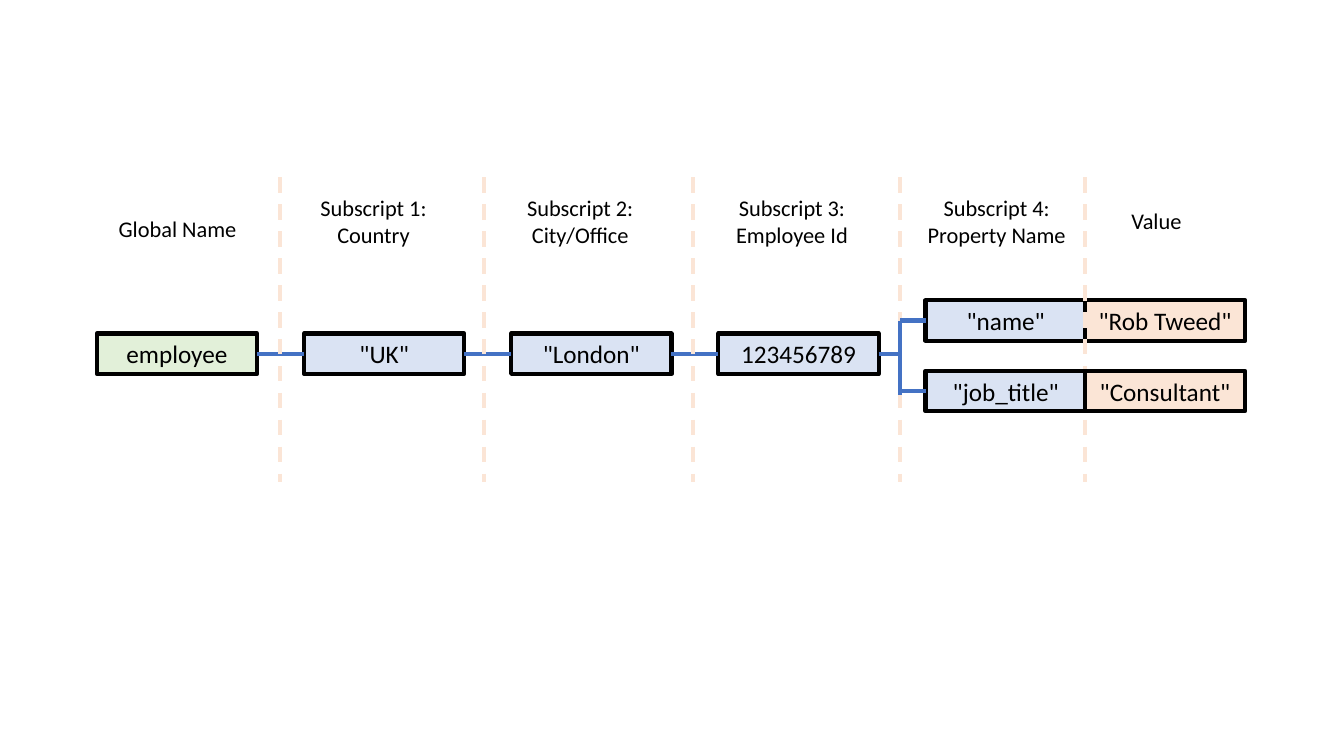
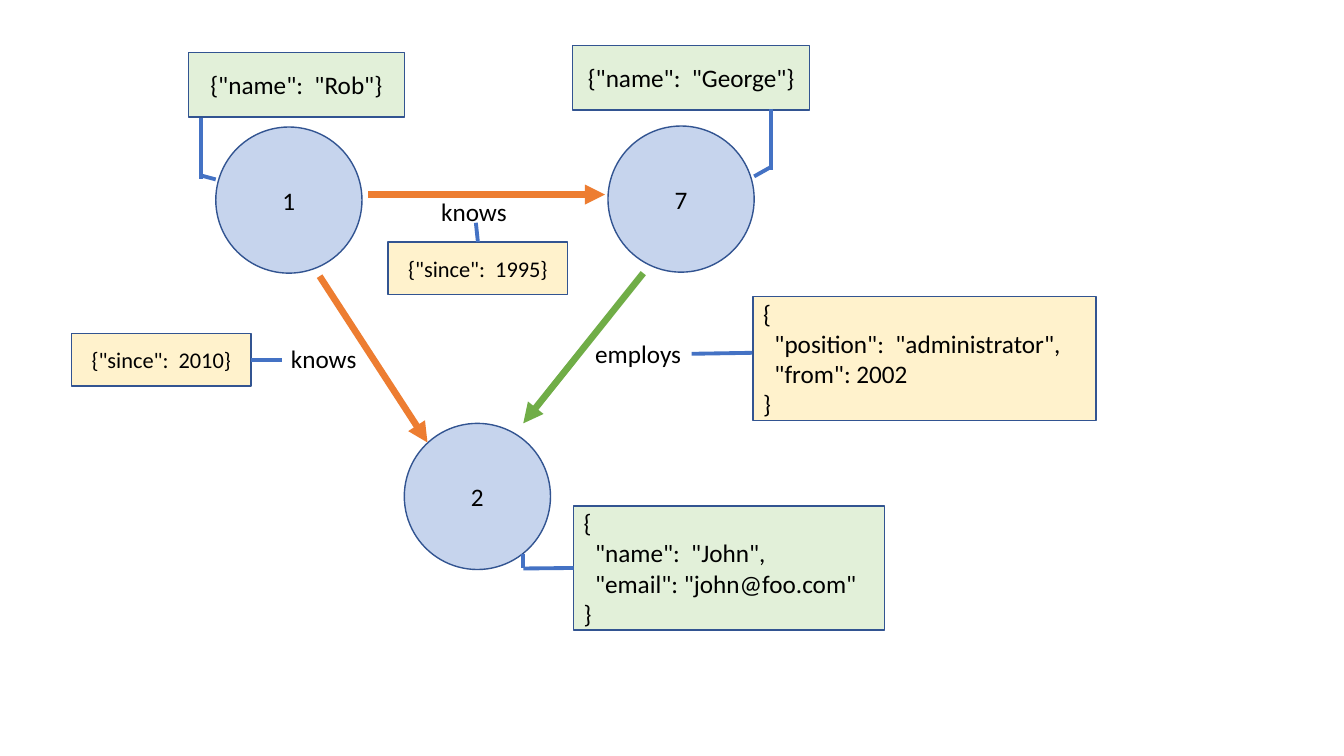
"""Build two slides: a hierarchical global record and a property graph."""
from lxml.etree import SubElement
from pptx import Presentation
from pptx.dml.color import RGBColor
from pptx.enum.dml import MSO_LINE
from pptx.enum.shapes import MSO_CONNECTOR, MSO_SHAPE
from pptx.enum.text import MSO_ANCHOR, PP_ALIGN
from pptx.oxml.ns import qn
from pptx.util import Inches, Pt

FONT = "Calibri"
BLACK = RGBColor(0x00, 0x00, 0x00)
BLUE = RGBColor(0x44, 0x72, 0xC4)
NAVY = RGBColor(0x32, 0x54, 0x91)
ORANGE = RGBColor(0xED, 0x7D, 0x31)
GREEN = RGBColor(0x70, 0xAD, 0x47)
PALE_GREEN = RGBColor(0xE2, 0xF0, 0xD9)
PALE_BLUE = RGBColor(0xDA, 0xE3, 0xF3)
PALE_ORANGE = RGBColor(0xFB, 0xE5, 0xD6)
PALE_YELLOW = RGBColor(0xFF, 0xF2, 0xCC)

TOP, LEFT, RIGHT = 0, 1, 3

KEYS = ["employee", '"UK"', '"London"', "123456789"]
PROPERTIES = [('"name"', '"Rob Tweed"', 2.98), ('"job_title"', '"Consultant"', 3.68)]
HEADINGS = [
    ("Global Name", 1.07, 2.08, 1.38, 0.37),
    ("Subscript 1:\nCountry", 3.07, 1.87, 1.27, 0.64),
    ("Subscript 2:\nCity/Office", 5.12, 1.87, 1.27, 0.64),
    ("Subscript 3:\nEmployee Id", 7.19, 1.87, 1.33, 0.64),
    ("Subscript 4:\nProperty Name", 9.09, 1.87, 1.59, 0.64),
    ("Value", 11.12, 2.0, 0.7, 0.37),
]
DIVIDERS = [2.78, 4.8, 6.87, 8.93, 10.76]
KEY_LEFT, KEY_TOP, KEY_W, KEY_H = 0.96, 3.31, 1.59, 0.4
PROPERTY_LEFT, VALUE_LEFT, BRANCH_X = 9.18, 10.76, 8.93

NODE_SIZE = 1.45
NODES = [("1", 2.14, 1.26), ("7", 6.03, 1.25), ("2", 4.01, 4.2)]
CARDS = {
    "rob": ('{"name":  "Rob"}', 1.87, 0.52, 2.14, 0.64, PALE_GREEN, 18),
    "george": ('{"name":  "George"}', 5.68, 0.45, 2.35, 0.64, PALE_GREEN, 18),
    "john": ('{\n  "name":  "John",\n  "email": "john@foo.com"\n}',
             5.69, 5.02, 3.08, 1.23, PALE_GREEN, 18),
    "position": ('{\n  "position":  "administrator",\n  "from": 2002\n}',
                 7.47, 2.94, 3.4, 1.23, PALE_YELLOW, 18),
    "since_1995": ('{"since":  1995}', 3.85, 2.4, 1.78, 0.52, PALE_YELLOW, 16),
    "since_2010": ('{"since":  2010}', 0.71, 3.31, 1.78, 0.52, PALE_YELLOW, 16),
}
RELATIONS = [
    ("knows", 4.27, 1.9, 0.86, (3.65, 1.93), (6, 1.93), ORANGE),
    ("knows", 2.78, 3.36, 0.86, (3.17, 2.74), (4.24, 4.39), ORANGE),
    ("employs", 5.8, 3.31, 1.06, (6.38, 2.71), (5.19, 4.2), GREEN),
]
LEADERS = [
    ((1.99, 1.17), (1.99, 1.78)),
    ((1.99, 1.74), (2.14, 1.78)),
    ((7.65, 1.08), (7.65, 1.69)),
    ((7.64, 1.66), (7.48, 1.75)),
    ((5.19, 5.5), (5.19, 5.64)),
    ((6.86, 3.51), (7.46, 3.5)),
]
JOINED_LEADERS = [
    ("john", LEFT, (5.19, 5.64)),
    ("since_1995", TOP, (4.72, 2.21)),
    ("since_2010", RIGHT, (2.8, 3.57)),
]


def write(sp, text, size, align=PP_ALIGN.CENTER, wrap=True):
    tf = sp.text_frame
    tf.text = text
    tf.word_wrap = wrap
    tf.vertical_anchor = MSO_ANCHOR.MIDDLE
    for p in tf.paragraphs:
        p.alignment = align
        for r in p.runs:
            r.font.name, r.font.size = FONT, Pt(size)
            r.font.color.rgb = BLACK


def add_label(s, text, x, y, w, h, size):
    sp = s.shapes.add_textbox(Inches(x), Inches(y), Inches(w), Inches(h))
    write(sp, text, size, wrap=False)


def add_box(s, text, x, y, w, h, fill, size=18, line=BLACK, width=3,
            kind=MSO_SHAPE.RECTANGLE):
    sp = s.shapes.add_shape(kind, Inches(x), Inches(y), Inches(w), Inches(h))
    sp.shadow.inherit = False
    sp.fill.solid()
    sp.fill.fore_color.rgb = fill
    sp.line.color.rgb = line
    sp.line.width = Pt(width)
    write(sp, text, size, PP_ALIGN.LEFT if "\n" in text else PP_ALIGN.CENTER)
    return sp


def is_joint(end):
    return hasattr(end[0], "shape_id")


def add_line(s, start, end, color=BLUE, width=3.0, dash=False, arrow=False):
    points = [(0, 0) if is_joint(e) else e for e in (start, end)]
    c = s.shapes.add_connector(MSO_CONNECTOR.STRAIGHT,
                               *(Inches(v) for point in points for v in point))
    for e, join in ((start, c.begin_connect), (end, c.end_connect)):
        if is_joint(e):
            join(*e)
    c.line.color.rgb = color
    c.line.width = Pt(width)
    if dash:
        c.line.dash_style = MSO_LINE.DASH
    if arrow:
        SubElement(c.element.spPr.find(qn("a:ln")), qn("a:tailEnd"), type="triangle")
    SubElement(c.element.spPr, qn("a:effectLst"))


def add_property(s, name, value, y):
    sp = add_box(s, name, PROPERTY_LEFT, y, KEY_W, KEY_H, PALE_BLUE)
    add_box(s, value, VALUE_LEFT, y, KEY_W, KEY_H, PALE_ORANGE)
    return sp


def build_global(s):
    pitch = (PROPERTY_LEFT - KEY_LEFT) / len(KEYS)
    keys = [add_box(s, key, KEY_LEFT + i * pitch, KEY_TOP, KEY_W, KEY_H,
                    PALE_BLUE if i else PALE_GREEN) for i, key in enumerate(KEYS)]
    for left, right in zip(keys, keys[1:]):
        add_line(s, (left, RIGHT), (right, LEFT))
    add_line(s, (keys[-1], RIGHT), (BRANCH_X, KEY_TOP + KEY_H / 2))
    first, second = PROPERTIES
    branches = [add_property(s, *first)]
    for x in DIVIDERS:
        add_line(s, (x, 1.76), (x, 4.78), PALE_ORANGE, 2.75, dash=True)
    for heading in HEADINGS:
        add_label(s, *heading, 16)
    branches.append(add_property(s, *second))
    middles = [y + KEY_H / 2 for _, _, y in PROPERTIES]
    add_line(s, (BRANCH_X, middles[0]), (BRANCH_X, 3.92))
    for sp, y in zip(branches, middles):
        add_line(s, (BRANCH_X, y), (sp, LEFT))


def build_graph(s):
    for text, x, y in NODES:
        sp = add_box(s, text, x, y, NODE_SIZE, NODE_SIZE, BLUE, line=NAVY, width=1,
                     kind=MSO_SHAPE.OVAL)
        color = sp.element.spPr.find(qn("a:solidFill"))[0]
        SubElement(color, qn("a:alpha"), val="30000")
    cards = {key: add_box(s, *card, line=NAVY, width=1) for key, card in CARDS.items()}
    for start, end in LEADERS:
        add_line(s, start, end, width=2.75)
    for key, site, end in JOINED_LEADERS:
        add_line(s, (cards[key], site), end, width=2.75)
    for text, x, y, w, start, end, color in RELATIONS:
        add_line(s, start, end, color, 4.75, arrow=True)
        add_label(s, text, x, y, w, 0.4, 18)


def main():
    prs = Presentation()
    prs.slide_width, prs.slide_height = Inches(13.33), Inches(7.5)
    for build in (build_global, build_graph):
        build(prs.slides.add_slide(prs.slide_layouts[6]))
    prs.save("out.pptx")


if __name__ == "__main__":
    main()
